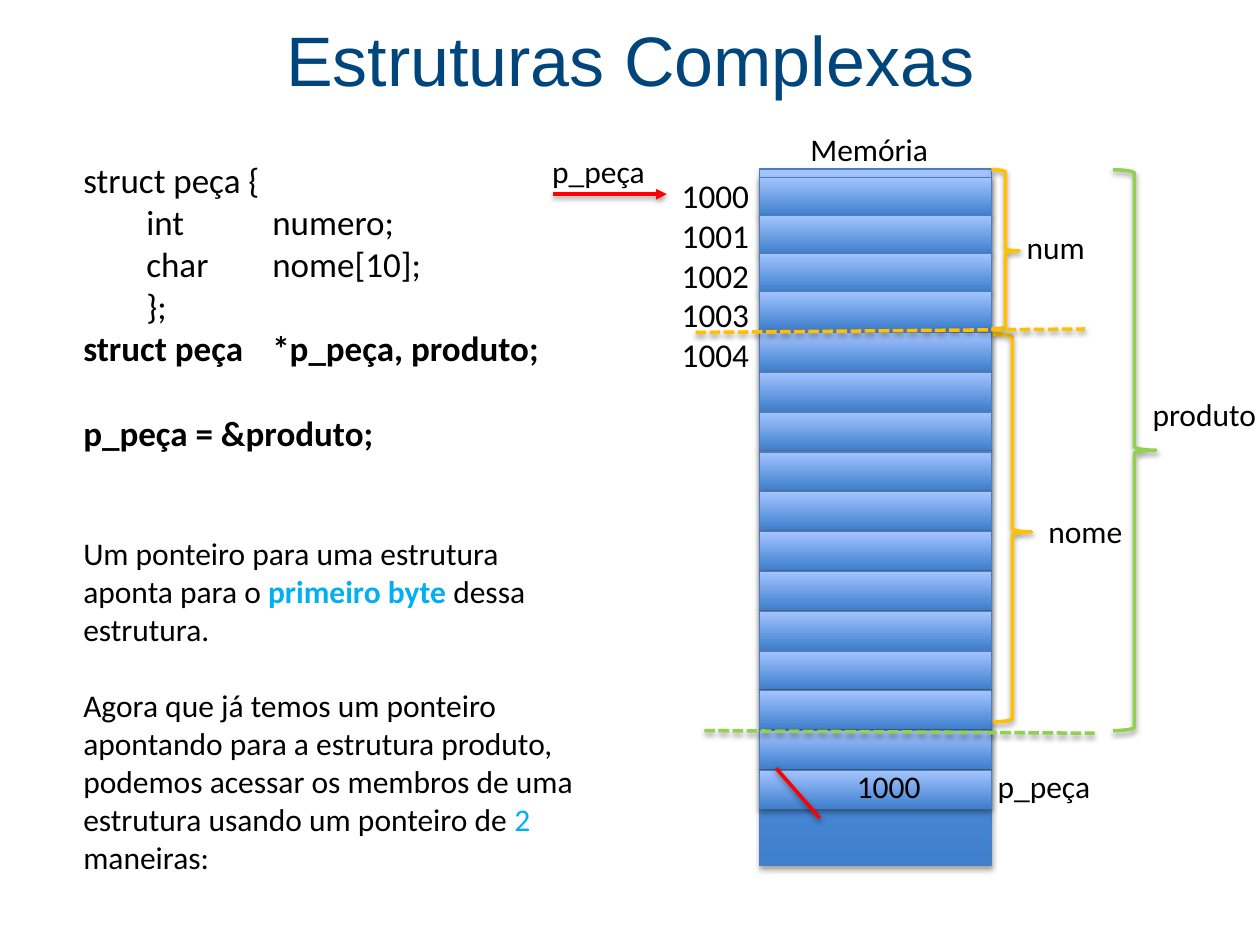
import pptx
import pptx.dml.color
import pptx.enum.dml
import pptx.enum.shapes
import pptx.enum.text
import pptx.util
from lxml import etree

Pt = pptx.util.Pt
SHAPE = pptx.enum.shapes.MSO_SHAPE
COLOURS = {
    "title": "00457C", "text": "000000", "accent": "00B0F0",
    "cell_dark": "3F80CE", "cell_light": "A4C4FF", "cell_edge": "4B7EBC",
    "amber": "FFC000", "green": "92D050", "red": "FF0000",
}
RGB = {name: pptx.dml.color.RGBColor.from_string(code) for name, code in COLOURS.items()}
NS = "http://schemas.openxmlformats.org/drawingml/2006/main"


def add_shadow(shape, alpha, distance):
    """Soft shadow straight below; called after fill and line are set."""
    effects = etree.SubElement(shape._element.spPr, f"{{{NS}}}effectLst")
    shadow = etree.SubElement(effects, f"{{{NS}}}outerShdw", blurRad=str(Pt(3.1)),
                              dist=str(Pt(distance)), dir="5400000", rotWithShape="0")
    colour = etree.SubElement(shadow, f"{{{NS}}}srgbClr", val=COLOURS["text"])
    etree.SubElement(colour, f"{{{NS}}}alpha", val=str(alpha * 1000))


def add_text(left, top, width, height, lines, size=18, font="Calibri", colour="text"):
    """Text box with one paragraph per line; a line is a list of (text, colour) runs."""
    frame = slide.shapes.add_textbox(Pt(left), Pt(top), Pt(width), Pt(height)).text_frame
    frame.word_wrap = True
    for i, line in enumerate(lines):
        paragraph = frame.paragraphs[0] if i == 0 else frame.add_paragraph()
        if "\t" in line:
            tabs = etree.SubElement(paragraph._p.get_or_add_pPr(), f"{{{NS}}}tabLst")
            for stop in (36, 72, 108):
                etree.SubElement(tabs, f"{{{NS}}}tab", pos=str(Pt(stop)), algn="l")
        paragraph.font.size = Pt(size)
        paragraph.font.name = font
        paragraph.font.color.rgb = RGB[colour]
        for words, run_colour in [(line, colour)] if isinstance(line, str) else line:
            run = paragraph.add_run()
            run.text = words
            if run_colour != colour:
                run.font.color.rgb = RGB[run_colour]
    return frame


deck = pptx.Presentation()
deck.slide_width, deck.slide_height = Pt(720), Pt(540)
slide = deck.slides.add_slide(deck.slide_layouts[6])

# Title
title = add_text(25, 2, 670, 63, ["Estruturas Complexas"], 40, "Arial", "title")
title.vertical_anchor = pptx.enum.text.MSO_ANCHOR.MIDDLE
title.paragraphs[0].alignment = pptx.enum.text.PP_ALIGN.CENTER

# Code and explanation
code = add_text(40.5, 87, 294.5, 441, [
    "struct peça {",
    "\tint\t\tnumero;",
    "\tchar\t\tnome[10];",
    "\t};",
    "struct peça\t*p_peça, produto;",
    "p_peça = &produto;",
    [("Um ponteiro para uma estrutura aponta para o ", "text"),
     ("primeiro byte ", "accent"), ("dessa estrutura.", "text")],
    [("Agora que já temos um ponteiro apontando para a estrutura produto, "
      "podemos acessar os membros de uma estrutura usando um ponteiro de ", "text"),
     ("2 ", "accent"), ("maneiras:", "text")],
], 20)
declaration, assignment, first_byte, access = code.paragraphs[4:]
declaration.font.bold = assignment.font.bold = True
first_byte.runs[1].font.bold = True
for paragraph, gap in ((assignment, 24.4), (first_byte, 46.4), (access, 22)):
    paragraph.space_before = Pt(gap)
for paragraph in (first_byte, access):
    paragraph.font.size = Pt(18)

# Memory column, the 4 bytes of num, then the 12 cells below
num_cells = [(101.5 + 21.6 * i, 21.6) for i in range(4)]
lower_cells = [(190 + 22.75 * i, 21.6) for i in range(12)]
for top, height in [(96.5, 398)] + num_cells + lower_cells:
    cell = slide.shapes.add_shape(SHAPE.RECTANGLE, Pt(434), Pt(top), Pt(132.5), Pt(height))
    cell.fill.gradient()
    cell.fill.gradient_angle = 90
    for stop, name in zip(cell.fill.gradient_stops, ("cell_dark", "cell_light")):
        stop.color.rgb = RGB[name]
    cell.line.color.rgb = RGB["cell_edge"]
    cell.line.width = Pt(0.75)
    add_shadow(cell, 35, 1.8)

# Braces around num, nome and produto
for left, top, width, height, name, middle in (
    (566.5, 97, 16, 91, "amber", 0.51),
    (567.5, 191, 22, 221.5, "amber", 0.51),
    (636, 97, 24.5, 320.5, "green", 0.5),
):
    brace = slide.shapes.add_shape(SHAPE.RIGHT_BRACE, Pt(left), Pt(top), Pt(width), Pt(height))
    brace.adjustments[1] = middle
    brace.fill.background()
    brace.line.color.rgb = RGB[name]
    brace.line.width = Pt(2)
    add_shadow(brace, 38, 1.6)

# Addresses
add_text(382.5, 96.5, 61, 122.5, ["1000", "1001", "1002", "1003", "1004"], 19)

# Labels
for left, top, width, words in (
    (456, 70.5, 137, "Memória"),
    (579.5, 126.5, 60, "num"),
    (592, 289, 65, "nome"),
    (651.5, 222, 68.5, "produto"),
    (482.5, 435, 60, "1000"),
    (563, 435, 72, "p_peça"),
    (308.5, 83.5, 72, "p_peça"),
):
    add_text(left, top, width, 29, [words]).margin_right = 0

# Dashed limits, red stroke and pointer arrow
for x1, y1, x2, y2, name, ending in (
    (402.5, 417.5, 625.5, 419, "green", "dash"),
    (397.5, 190, 620, 188, "amber", "dash"),
    (443.5, 439, 468.5, 467.5, "red", None),
    (316, 111, 381, 111, "red", "arrow"),
):
    stroke = slide.shapes.add_connector(pptx.enum.shapes.MSO_CONNECTOR.STRAIGHT,
                                        Pt(x1), Pt(y1), Pt(x2), Pt(y2))
    stroke.line.color.rgb = RGB[name]
    stroke.line.width = Pt(2)
    if ending == "dash":
        stroke.line.dash_style = pptx.enum.dml.MSO_LINE.SQUARE_DOT
    elif ending == "arrow":
        etree.SubElement(stroke.line._get_or_add_ln(), f"{{{NS}}}tailEnd", type="triangle")
    add_shadow(stroke, 38, 1.6)

deck.save("out.pptx")
